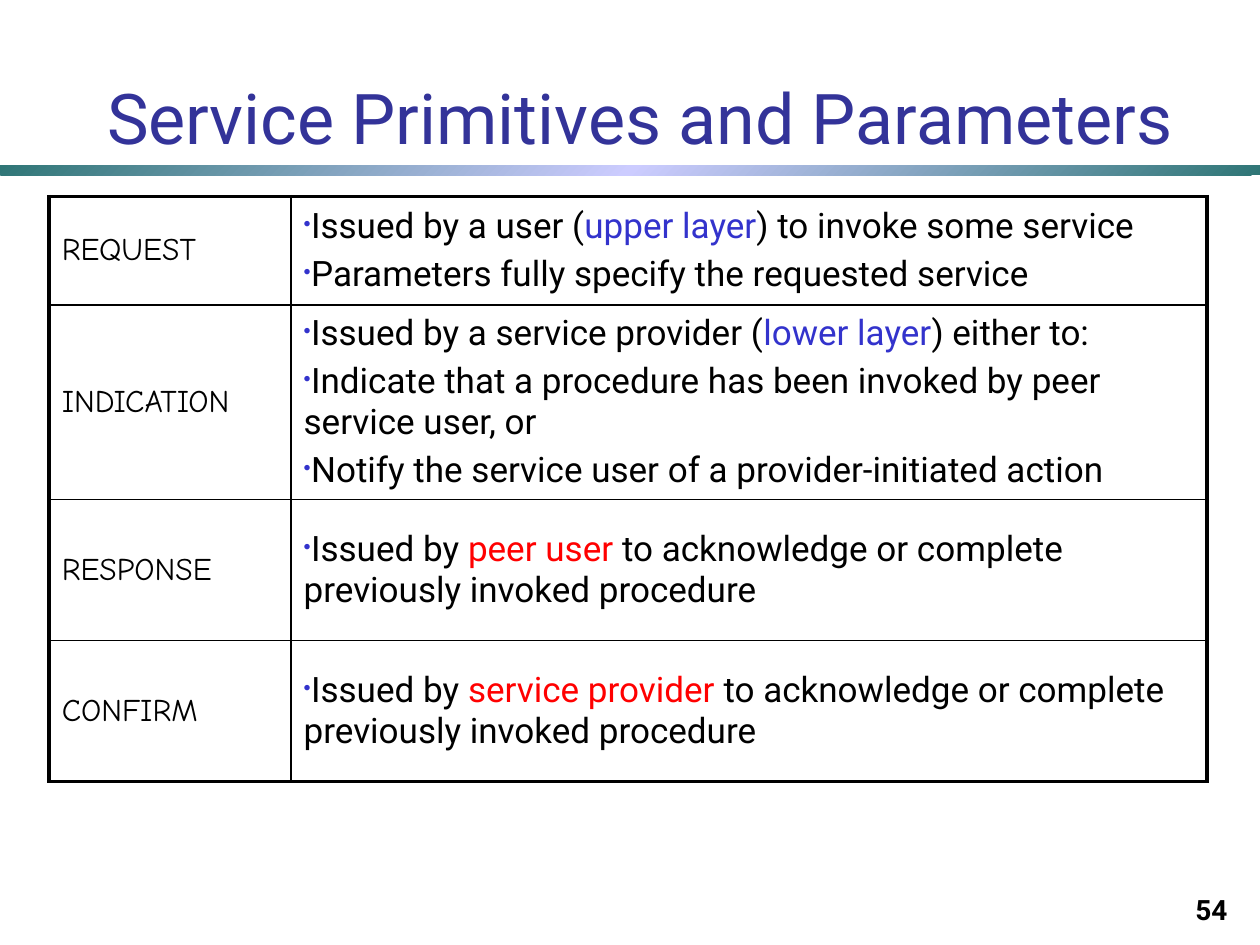
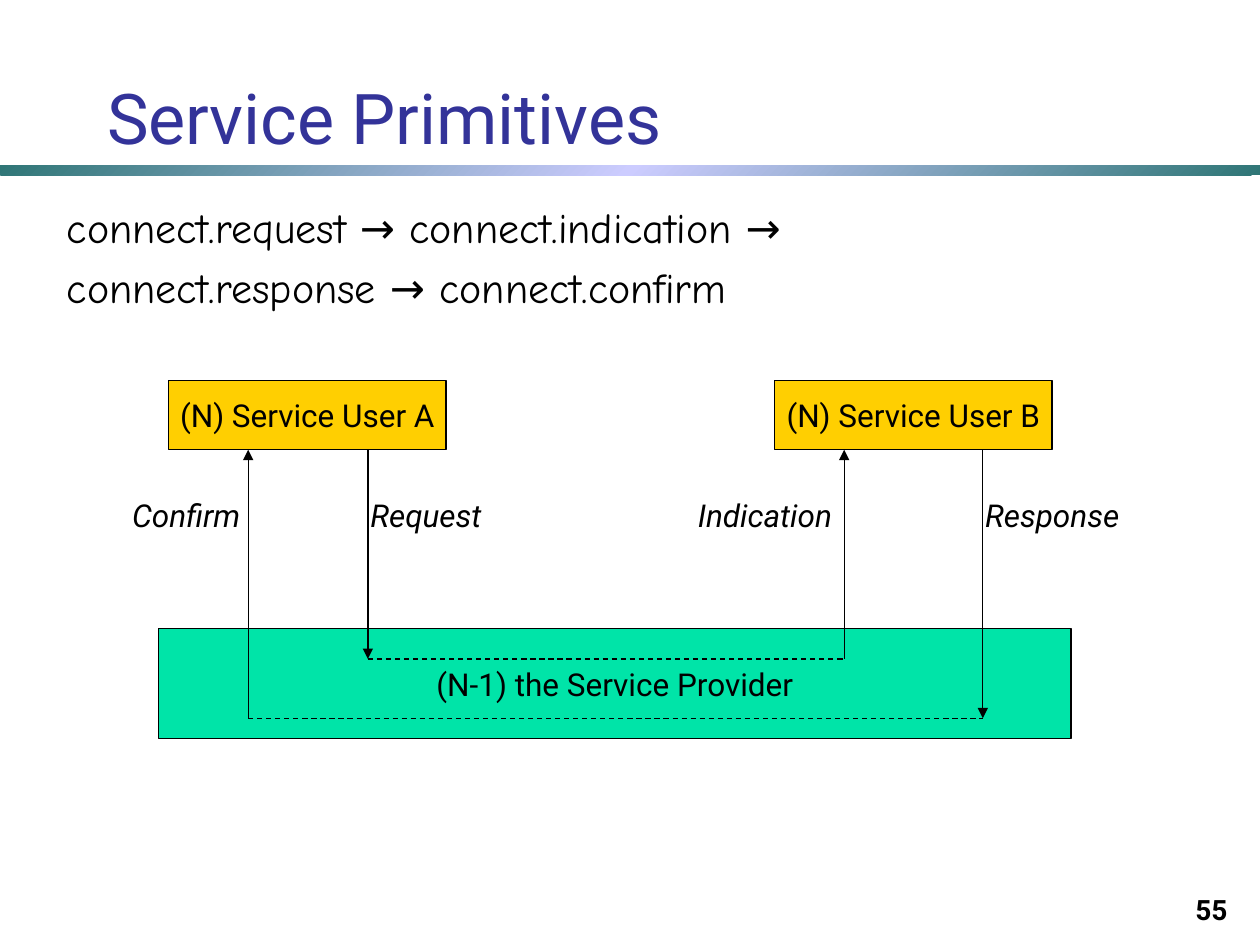
from typing import NamedTuple

from lxml.etree import SubElement
from pptx import Presentation
from pptx.dml.color import RGBColor
from pptx.enum.dml import MSO_LINE
from pptx.enum.shapes import MSO_CONNECTOR, MSO_SHAPE
from pptx.enum.text import MSO_ANCHOR, MSO_AUTO_SIZE, PP_ALIGN
from pptx.oxml import parse_xml
from pptx.oxml.ns import nsdecls, qn
from pptx.util import Inches, Pt

COLORS = {
    "title": "333399",
    "text": "000000",
    "line": "000000",
    "layer": "3333CC",
    "peer": "FF0000",
    "bullet": "3333CC",
    "band_edge": "2F7676",
    "band_middle": "CCCCFF",
    "provider": "00E4A8",
    "user": "FFCF01",
}
SANS = "Roboto"
HAND = "Comic Neue"


class Span(NamedTuple):
    text: str
    color: str = "text"


class Primitive(NamedTuple):
    name: str
    height: float
    items: list[list[Span]]


class Box(NamedTuple):
    text: str
    left: float
    top: float
    width: float
    height: float
    color: str


class Line(NamedTuple):
    x1: float
    y1: float
    x2: float
    y2: float
    arrow: bool


class Label(NamedTuple):
    text: str
    left: float
    width: float


PRIMITIVES = [
    Primitive("REQUEST", 0.86, [
        [Span("Issued by a user ("), Span("upper layer", "layer"),
         Span(") to invoke some service")],
        [Span("Parameters fully specify the requested service")],
    ]),
    Primitive("INDICATION", 1.52, [
        [Span("Issued by a service provider ("), Span("lower layer", "layer"),
         Span(") either to:")],
        [Span("Indicate that a procedure has been invoked by peer service user, or")],
        [Span("Notify the service user of a provider-initiated action")],
    ]),
    Primitive("RESPONSE", 1.12, [
        [Span("Issued by "), Span("peer user", "peer"),
         Span(" to acknowledge or complete previously invoked procedure")],
    ]),
    Primitive("CONFIRM", 1.12, [
        [Span("Issued by "), Span("service provider", "peer"),
         Span(" to acknowledge or complete previously invoked procedure")],
    ]),
]

SEQUENCE = [
    "connect.request → connect.indication →",
    "connect.response → connect.confirm",
]

BOXES = [
    Box("(N-1) the Service Provider", 1.26, 4.99, 7.24, 0.87, "provider"),
    Box("(N) Service User A", 1.34, 3.02, 2.2, 0.55, "user"),
    Box("(N) Service User B", 6.15, 3.02, 2.2, 0.55, "user"),
]

USER_BOTTOM, INNER_Y, OUTER_Y = 3.57, 5.23, 5.7
CONFIRM_X, REQUEST_X, INDICATION_X, RESPONSE_X = 1.97, 2.92, 6.7, 7.8
LINES = [
    Line(REQUEST_X, USER_BOTTOM, REQUEST_X, INNER_Y, True),
    Line(REQUEST_X, INNER_Y, INDICATION_X, INNER_Y, False),
    Line(INDICATION_X, INNER_Y, INDICATION_X, USER_BOTTOM, True),
    Line(RESPONSE_X, USER_BOTTOM, RESPONSE_X, OUTER_Y, True),
    Line(CONFIRM_X, OUTER_Y, RESPONSE_X, OUTER_Y, False),
    Line(CONFIRM_X, OUTER_Y, CONFIRM_X, USER_BOTTOM, True),
]

LABELS = [
    Label("Confirm", 0.95, 1.42),
    Label("Request", 2.84, 1.09),
    Label("Indication", 5.44, 1.42),
    Label("Response", 7.72, 1.42),
]


def rgb(name: str) -> RGBColor:
    return RGBColor.from_string(COLORS[name])


def style(font, size: float, name: str = SANS, color: str = "text",
          bold: bool = False, italic: bool = False) -> None:
    font.size, font.name = Pt(size), name
    font.bold, font.italic = bold, italic
    font.color.rgb = rgb(color)


def place(sp, left: float, top: float, width: float, height: float) -> None:
    sp.left, sp.top = Inches(left), Inches(top)
    sp.width, sp.height = Inches(width), Inches(height)


def add_text(slide, text: str, left: float, top: float, width: float, height: float):
    """Add a wrapping one-paragraph text box and return its frame and run."""
    tf = slide.shapes.add_textbox(
        Inches(left), Inches(top), Inches(width), Inches(height)).text_frame
    tf.text = text
    tf.word_wrap = True
    return tf, tf.paragraphs[0].runs[0]


def add_band(slide) -> None:
    sp = slide.shapes.add_shape(
        MSO_SHAPE.RECTANGLE, 0, Inches(1.31), Inches(10), Inches(0.08))
    sp.shadow.inherit = False
    sp.line.fill.background()
    sp.fill.gradient()
    sp.fill.gradient_angle = 315
    stops = sp._element.spPr.find(qn("a:gradFill")).find(qn("a:gsLst"))
    for stop in list(stops):
        stops.remove(stop)
    for pos, color in ((0, "band_edge"), (50, "band_middle"), (100, "band_edge")):
        gs = SubElement(stops, qn("a:gs"), pos=str(pos * 1000))
        SubElement(gs, qn("a:srgbClr"), val=COLORS[color])


def start_slide(prs, layout: int, title: str, number: int):
    """Add a slide with the shared band, title and page number."""
    s = prs.slides.add_slide(prs.slide_layouts[layout])
    add_band(s)
    place(s.shapes.title, 0.75, 0.36, 9.25, 0.95)
    tf = s.shapes.title.text_frame
    tf.text = title
    tf.auto_size = MSO_AUTO_SIZE.NONE
    tf.vertical_anchor = MSO_ANCHOR.BOTTOM
    p = tf.paragraphs[0]
    p.alignment = PP_ALIGN.LEFT
    style(p.runs[0].font, 40, color="title")

    tf, r = add_text(s, str(number), 7.76, 6.9, 2.08, 0.5)
    tf.vertical_anchor = MSO_ANCHOR.BOTTOM
    tf.paragraphs[0].alignment = PP_ALIGN.RIGHT
    style(r.font, 16, bold=True)
    return s


def add_bullet(p) -> None:
    pPr = p._p.get_or_add_pPr()
    pPr.set("marL", "0")
    pPr.set("indent", "0")
    SubElement(SubElement(pPr, qn("a:buClr")), qn("a:srgbClr"), val=COLORS["bullet"])
    SubElement(pPr, qn("a:buSzPct"), val="60000")
    SubElement(pPr, qn("a:buChar"), char="•")


def set_borders(cell, widths: dict[str, float]) -> None:
    tcPr = cell._tc.get_or_add_tcPr()
    for i, side in enumerate("LRTB"):
        tcPr.insert(i, parse_xml(
            f'<a:ln{side} {nsdecls("a")} w="{Pt(widths[side])}"><a:solidFill>'
            f'<a:srgbClr val="{COLORS["line"]}"/></a:solidFill></a:ln{side}>'))


def add_primitive_table(slide) -> None:
    widths = (1.92, 7.27)
    last = len(PRIMITIVES) - 1
    table = slide.shapes.add_table(
        len(PRIMITIVES), 2, Inches(0.39), Inches(1.56), Inches(sum(widths)),
        Inches(sum(item.height for item in PRIMITIVES))).table
    table.first_row = table.horz_banding = False
    for column, width in zip(table.columns, widths):
        column.width = Inches(width)
    for i, primitive in enumerate(PRIMITIVES):
        table.rows[i].height = Inches(primitive.height)
        name_cell, text_cell = table.cell(i, 0), table.cell(i, 1)
        for j, cell in enumerate((name_cell, text_cell)):
            cell.fill.background()
            cell.vertical_anchor = MSO_ANCHOR.MIDDLE
            edges = {"L": j == 0, "R": j == 1, "T": i == 0, "B": i == last}
            set_borders(cell, {side: 2.25 if outer else 1
                               for side, outer in edges.items()})
        name_cell.text_frame.text = primitive.name
        style(name_cell.text_frame.paragraphs[0].runs[0].font, 18, HAND)
        tf = text_cell.text_frame
        for k, spans in enumerate(primitive.items):
            p = tf.add_paragraph() if k else tf.paragraphs[0]
            add_bullet(p)
            if k:
                p.space_before = Pt(4)
            for span in spans:
                r = p.add_run()
                r.text = span.text
                style(r.font, 20, color=span.color)


def fill_sequence(body) -> None:
    place(body, 0.43, 1.55, 9.37, 1.19)
    tf = body.text_frame
    tf.text = "\n".join(SEQUENCE)
    tf.auto_size = MSO_AUTO_SIZE.NONE
    for i, p in enumerate(tf.paragraphs):
        pPr = p._p.get_or_add_pPr()
        pPr.set("marL", str(Inches(0.38)))
        pPr.set("indent", str(-Inches(0.38)))
        SubElement(pPr, qn("a:buNone"))
        p.space_before = Pt(5.5 if i else 0)
        style(p.runs[0].font, 24, HAND)


def add_box(slide, box: Box) -> None:
    sp = slide.shapes.add_shape(
        MSO_SHAPE.RECTANGLE, Inches(box.left), Inches(box.top),
        Inches(box.width), Inches(box.height))
    sp.shadow.inherit = False
    sp.fill.solid()
    sp.fill.fore_color.rgb = rgb(box.color)
    sp.line.color.rgb = rgb("line")
    sp.line.width = Pt(0.75)
    tf = sp.text_frame
    tf.text = box.text
    tf.word_wrap = False
    tf.vertical_anchor = MSO_ANCHOR.MIDDLE
    p = tf.paragraphs[0]
    p.alignment = PP_ALIGN.CENTER
    style(p.runs[0].font, 18)


def add_line(slide, line: Line) -> None:
    """Draw a solid arrow, or a dashed line when it has no arrowhead."""
    c = slide.shapes.add_connector(
        MSO_CONNECTOR.STRAIGHT, Inches(line.x1), Inches(line.y1),
        Inches(line.x2), Inches(line.y2))
    c.line.color.rgb = rgb("line")
    c.line.width = Pt(0.75)
    if line.arrow:
        SubElement(c.line._get_or_add_ln(), qn("a:tailEnd"), type="triangle")
    else:
        c.line.dash_style = MSO_LINE.DASH
    SubElement(c._element.spPr, qn("a:effectLst"))


def add_label(slide, label: Label) -> None:
    _, r = add_text(slide, label.text, label.left, 3.89, label.width, 0.4)
    style(r.font, 18, italic=True)


def main() -> None:
    prs = Presentation()
    prs.slide_width, prs.slide_height = Inches(10), Inches(7.5)

    s = start_slide(prs, 5, "Service Primitives and Parameters", 54)
    add_primitive_table(s)

    s = start_slide(prs, 1, "Service Primitives", 55)
    fill_sequence(s.placeholders[1])
    for box in BOXES:
        add_box(s, box)
    for line in LINES:
        add_line(s, line)
    for label in LABELS:
        add_label(s, label)

    prs.save("out.pptx")


if __name__ == "__main__":
    main()
